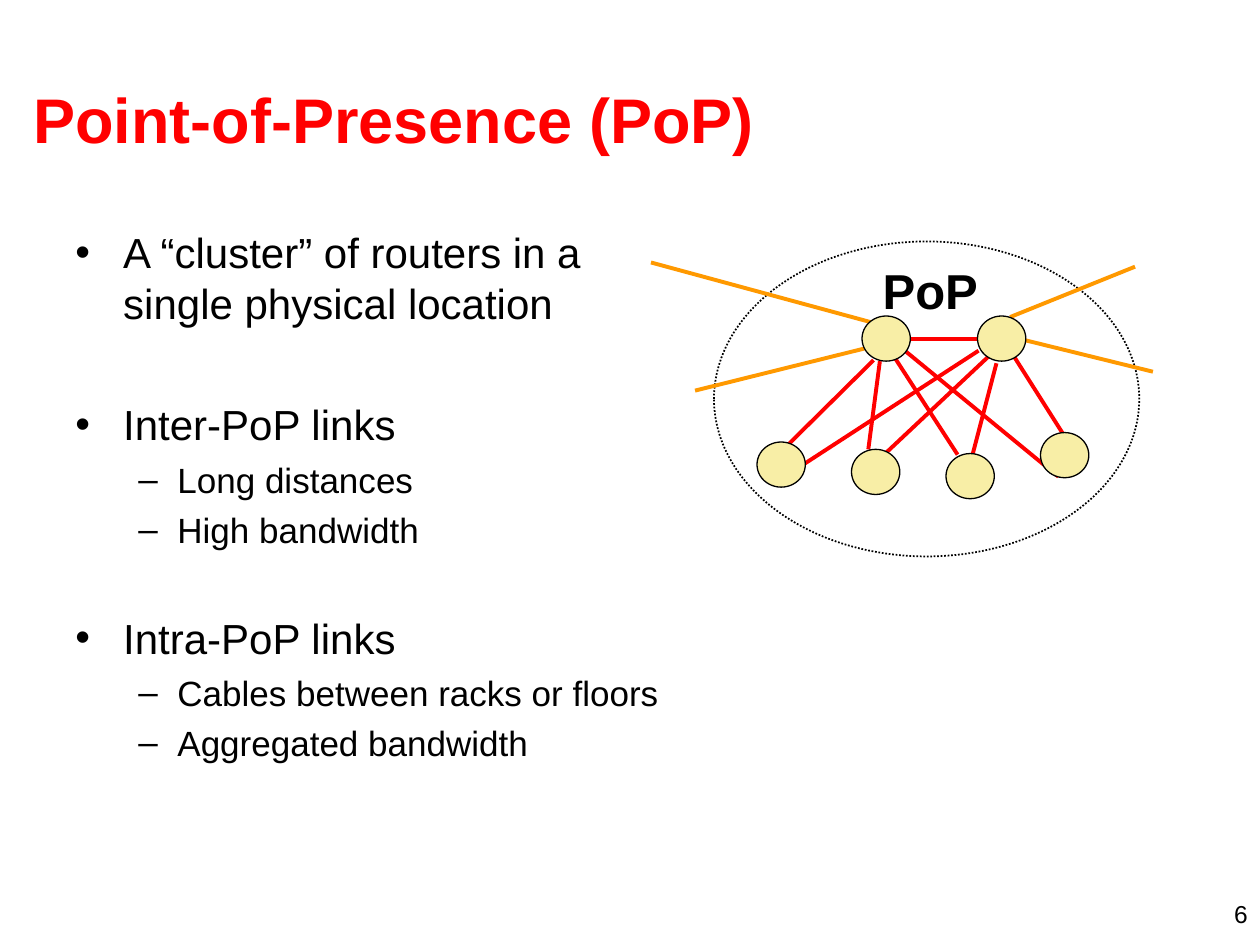
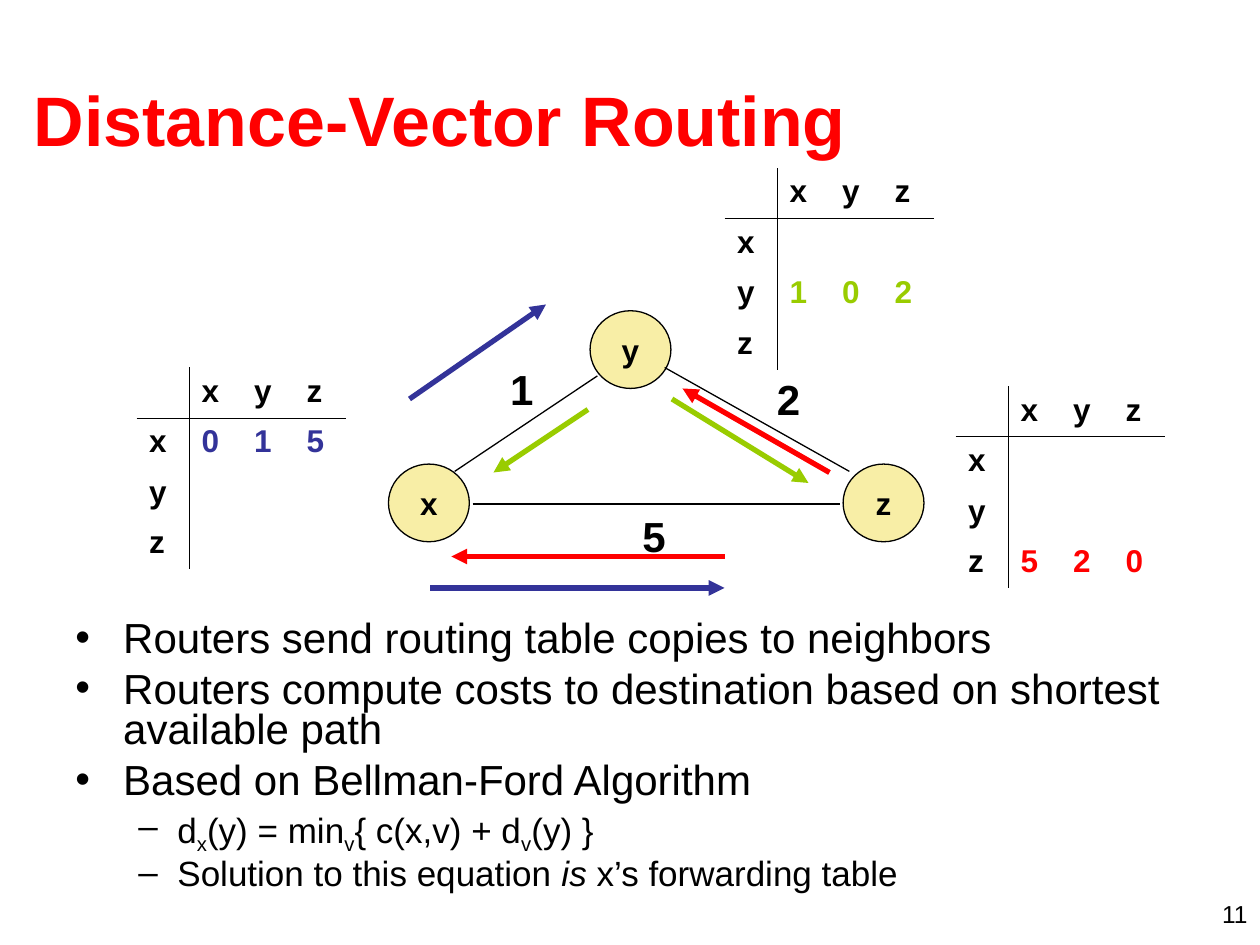
"""Two lecture slides on points of presence and distance-vector routing."""
from dataclasses import dataclass
from typing import Any, NamedTuple, Optional

from lxml import etree
from pptx import Presentation, util as u
from pptx.dml.color import RGBColor
from pptx.enum import dml, shapes, text
from pptx.oxml import ns

# The grid: 12 columns and 12 rows to the inch.
COLUMNS, ROWS = 120, 90
SLIDE_WIDTH, SLIDE_HEIGHT = u.Inches(10), u.Inches(7.5)
TITLE_ONLY = 5
PLAIN_TABLE_STYLE = "{2D5ABB26-0587-4C30-8999-92F81FD0307C}"


@dataclass(frozen=True)
class Theme:
    """Font, colours, type sizes and line widths of the deck."""
    font: str = "Arial"
    black: str = "000000"
    red: str = "FF0000"
    orange: str = "FF9900"
    blue: str = "333399"
    green: str = "99CC00"
    node: str = "F8EEA6"
    label: float = 28
    cost: float = 24
    small: float = 18
    footer: float = 14
    hairline: float = 0.45
    thin: float = 0.74
    dotted: float = 1
    link: float = 2.25
    arrow: float = 3


THEME = Theme()


class Box(NamedTuple):
    """A rectangle in grid columns and rows."""
    left: float
    top: float
    width: float
    height: float


class Line(NamedTuple):
    """A straight line between two grid points."""
    x1: float
    y1: float
    x2: float
    y2: float
    color: str = THEME.black
    width: float = THEME.thin
    arrow: bool = False


class Run(NamedTuple):
    """A stretch of text with its own style."""
    text: str
    italic: bool = False
    subscript: bool = False


class Level(NamedTuple):
    """Look of one bullet level: size and space in points, indents in inches."""
    mark: str
    size: float
    before: float
    margin: float
    hanging: float


LEVELS = (Level("•", 24, 6, 0.38, 0.38), Level("–", 20, 5, 0.81, 0.31))


@dataclass(frozen=True)
class Bullet:
    """A bullet paragraph; gap is extra space above, in points."""
    runs: tuple[Run, ...]
    level: int = 0
    gap: float = 0


@dataclass(frozen=True)
class DistanceTable:
    """A router's table with only its own row of distances filled."""
    left: float
    top: float
    router: str
    distances: str
    color: str


TITLE_BOX = Box(2, 3.8, 115, 15)
NUMBER_BOX = Box(92, 85, 28, 3)


def across(columns: float) -> int:
    """Turn grid columns into a length."""
    return round(SLIDE_WIDTH * columns / COLUMNS)


def down(rows: float) -> int:
    """Turn grid rows into a length."""
    return round(SLIDE_HEIGHT * rows / ROWS)


def lengths(box: Box) -> tuple[int, int, int, int]:
    """Turn a grid box into left, top, width and height."""
    return across(box.left), down(box.top), across(box.width), down(box.height)


def assign(target: Any, values: dict[str, Any]) -> None:
    """Set each named attribute of the target."""
    for name, value in values.items():
        setattr(target, name, value)


def add_xml(parent: Any, tag: str, **attributes: str) -> Any:
    """Append a child element such as a:ln to the parent."""
    return etree.SubElement(parent, ns.qn(tag), attributes)


def style_font(font: Any, size: float, color: str = THEME.black,
               bold: bool = False, italic: bool = False) -> None:
    """Give a font the deck's typeface and the wanted look."""
    assign(font, {"name": THEME.font, "size": u.Pt(size), "bold": bold, "italic": italic})
    font.color.rgb = RGBColor.from_string(color)


def style_line(line: Any, color: str, width: float) -> None:
    """Set the colour and width of an outline."""
    line.color.rgb = RGBColor.from_string(color)
    line.width = u.Pt(width)


def write(frame: Any, words: str, size: float, color: str = THEME.black, bold: bool = True,
          align: Any = text.PP_ALIGN.LEFT) -> None:
    """Write one paragraph in one style."""
    paragraph = frame.paragraphs[0]
    paragraph.alignment = align
    run = paragraph.add_run()
    run.text = words
    style_font(run.font, size, color, bold)


def add_label(slide: Any, box: Box, words: str, size: float, **style: Any) -> None:
    """Place a short text."""
    frame = slide.shapes.add_textbox(*lengths(box)).text_frame
    frame.word_wrap = True
    write(frame, words, size, **style)


def add_titled_slide(presentation: Any, title: str, size: float, number: int) -> Any:
    """Add a slide with its title and page number."""
    slide = presentation.slides.add_slide(presentation.slide_layouts[TITLE_ONLY])
    shape = slide.shapes.title
    assign(shape, dict(zip(("left", "top", "width", "height"), lengths(TITLE_BOX))))
    assign(shape.text_frame, {"vertical_anchor": text.MSO_ANCHOR.MIDDLE, "word_wrap": True,
                              "auto_size": text.MSO_AUTO_SIZE.NONE})
    write(shape.text_frame, title, size, THEME.red)
    add_label(slide, NUMBER_BOX, str(number), THEME.footer, bold=False,
              align=text.PP_ALIGN.RIGHT)
    return slide


def add_bullets(slide: Any, box: Box, bullets: tuple[Bullet, ...], spacing: float = 1) -> None:
    """Fill a text box with bullets on two levels."""
    frame = slide.shapes.add_textbox(*lengths(box)).text_frame
    frame.word_wrap = True
    for index, bullet in enumerate(bullets):
        paragraph = frame.add_paragraph() if index else frame.paragraphs[0]
        level = LEVELS[bullet.level]
        assign(paragraph, {"level": bullet.level, "line_spacing": spacing,
                           "space_before": u.Pt(level.before + bullet.gap)})
        properties = paragraph._p.get_or_add_pPr()
        properties.set("marL", str(u.Inches(level.margin)))
        properties.set("indent", str(-u.Inches(level.hanging)))
        add_xml(properties, "a:buFont", typeface=THEME.font)
        add_xml(properties, "a:buChar", char=level.mark)
        for part in bullet.runs:
            run = paragraph.add_run()
            run.text = part.text
            style_font(run.font, level.size, italic=part.italic)
            if part.subscript:
                run._r.get_or_add_rPr().set("baseline", "-25000")


def add_line(slide: Any, line: Line) -> None:
    """Draw a straight line, with an arrowhead at its end if wanted."""
    connector = slide.shapes.add_connector(
        shapes.MSO_CONNECTOR.STRAIGHT,
        across(line.x1), down(line.y1), across(line.x2), down(line.y2))
    style_line(connector.line, line.color, line.width)
    if line.arrow:
        add_xml(connector.get_or_add_ln(), "a:tailEnd", type="triangle")
    add_xml(connector._element.spPr, "a:effectLst")


def add_ellipse(slide: Any, box: Box, fill: Optional[str] = THEME.node,
                width: float = THEME.thin) -> Any:
    """Draw an ellipse with a black outline."""
    shape = slide.shapes.add_shape(shapes.MSO_SHAPE.OVAL, *lengths(box))
    shape.shadow.inherit = False
    style_line(shape.line, THEME.black, width)
    if fill:
        shape.fill.solid()
        shape.fill.fore_color.rgb = RGBColor.from_string(fill)
    else:
        shape.fill.background()
    return shape


def add_border(cell: Any, side: str, drawn: bool) -> None:
    """Draw a hairline on one side of a cell, or state that it has none."""
    border = add_xml(cell._tc.get_or_add_tcPr(), f"a:ln{side}", w=str(u.Pt(THEME.hairline)))
    if drawn:
        add_xml(add_xml(border, "a:solidFill"), "a:srgbClr", val=THEME.black)
    else:
        add_xml(border, "a:noFill")


def add_distance_table(slide: Any, data: DistanceTable) -> None:
    """Draw a four by four table with rules beside and below its headings."""
    names = " xyz"
    frame = slide.shapes.add_table(4, 4, *lengths(Box(data.left, data.top, 20, 19.2)))
    table = frame.table
    assign(table, {"first_row": False, "horz_banding": False})
    table._tbl.tblPr.find(ns.qn("a:tableStyleId")).text = PLAIN_TABLE_STYLE
    for row, heading in enumerate(names):
        table.rows[row].height = down(4.8)
        table.columns[row].width = across(5)
        values = names if row == 0 else heading + (
            data.distances if heading == data.router else "   ")
        for column, value in enumerate(values):
            cell = table.cell(row, column)
            for side, drawn in (("L", column == 1), ("R", column == 0),
                                ("T", row == 1), ("B", row == 0)):
                add_border(cell, side, drawn)
            cell.fill.background()
            if value.strip():
                write(cell.text_frame, value, THEME.small,
                      data.color if row and column else THEME.black)


def build_pop_slide(presentation: Any) -> None:
    """Explain a point of presence beside a picture of its links."""
    slide = add_titled_slide(presentation, "Point-of-Presence (PoP)", 36, 6)
    add_bullets(slide, Box(6, 21, 61, 56), (
        Bullet((Run("A “cluster” of routers in a single physical location"),)),
        Bullet((Run("Inter-PoP links"),), gap=34.8),
        Bullet((Run("Long distances"),), 1),
        Bullet((Run("High bandwidth"),), 1),
        Bullet((Run("Intra-PoP links"),), gap=29),
        Bullet((Run("Cables between racks or floors"),), 1),
        Bullet((Run("Aggregated bandwidth"),), 1)))
    inner_links = ((100.8, 45.4, 86.3, 33.5), (85.3, 34.2, 91.2, 43.3), (86.4, 32.3, 93.1, 32.3),
                   (83.2, 34.3, 74.2, 43.2), (82.7, 42.8, 83.8, 34.4), (93.2, 33.4, 75.5, 44.9),
                   (84.2, 43.3, 94.1, 34), (94.9, 34.6, 92.6, 43.4), (102.5, 43.3, 96.6, 34))
    outer_links = ((83, 30.7, 62, 25), (96.2, 30.2, 108.1, 25.4),
                   (97.2, 32.3, 109.8, 35.4), (82.3, 33.2, 66.2, 37.2))
    for ends in inner_links:
        add_line(slide, Line(*ends, THEME.red, THEME.link))
    cloud = add_ellipse(slide, Box(68, 23, 40.5, 30), None, THEME.dotted)
    cloud.line.dash_style = dml.MSO_LINE.ROUND_DOT
    for ends in outer_links:
        add_line(slide, Line(*ends, THEME.orange, THEME.link))
    add_label(slide, Box(82.6, 24.2, 12, 6.8), "PoP", THEME.label, align=text.PP_ALIGN.CENTER)
    core_routers = [(82.1 + 11 * index, 30.1) for index in range(2)]
    access_routers = [(72.1 + 9 * index, top) for index, top in enumerate((42.1, 42.8, 43.2, 41.2))]
    for left, top in core_routers + access_routers:
        add_ellipse(slide, Box(left, top, 4.6, 4.3))


def build_routing_slide(presentation: Any) -> None:
    """Show three routers exchanging their distance tables."""
    slide = add_titled_slide(presentation, "Distance-Vector Routing", 40, 11)
    add_bullets(slide, Box(6, 58.6, 108, 28.4), (
        Bullet((Run("Routers send routing table copies to neighbors"),)),
        Bullet((Run("Routers compute costs to destination based on shortest available path"),)),
        Bullet((Run("Based on Bellman-Ford Algorithm"),)),
        Bullet((Run("d"), Run("x", subscript=True), Run("(y) = min"), Run("v", subscript=True),
                Run("{ c(x,v) + d"), Run("v", subscript=True), Run("(y) }")), 1),
        Bullet((Run("Solution to this equation "), Run("is", italic=True),
                Run(" x’s forwarding table")), 1)), spacing=0.8)
    for table in (DistanceTable(13, 35, "x", "015", THEME.blue),
                  DistanceTable(69, 16, "y", "102", THEME.green),
                  DistanceTable(91, 36.8, "z", "520", THEME.red)):
        add_distance_table(slide, table)
    for name, left, top in (("y", 56.2, 29.6), ("x", 37, 44.2), ("z", 80.3, 44.2)):
        frame = add_ellipse(slide, Box(left, top, 7.7, 7.4)).text_frame
        assign(frame, {"word_wrap": False, "vertical_anchor": text.MSO_ANCHOR.MIDDLE})
        write(frame, name, THEME.small, align=text.PP_ALIGN.CENTER)
    for ends in ((45, 48, 80, 48), (43.3, 44.9, 56.9, 35.8), (63.3, 35, 80.9, 44.9)):
        add_line(slide, Line(*ends))
    for cost, left, top in (("1", 47.4, 34), ("2", 72.8, 35), ("5", 60, 48)):
        add_label(slide, Box(left, top, 5.6, 6), cost, THEME.cost)
    for color, *ends in ((THEME.blue, 39, 38, 52, 29), (THEME.blue, 41, 56, 69, 56),
                         (THEME.green, 56, 39, 47, 45), (THEME.green, 64, 38, 77, 46),
                         (THEME.red, 69, 53, 43, 53), (THEME.red, 79, 45, 65, 37)):
        add_line(slide, Line(*ends, color, THEME.arrow, arrow=True))


def main() -> None:
    """Build and save the presentation."""
    presentation = Presentation()
    assign(presentation, {"slide_width": SLIDE_WIDTH, "slide_height": SLIDE_HEIGHT})
    build_pop_slide(presentation)
    build_routing_slide(presentation)
    presentation.save("out.pptx")


main()
